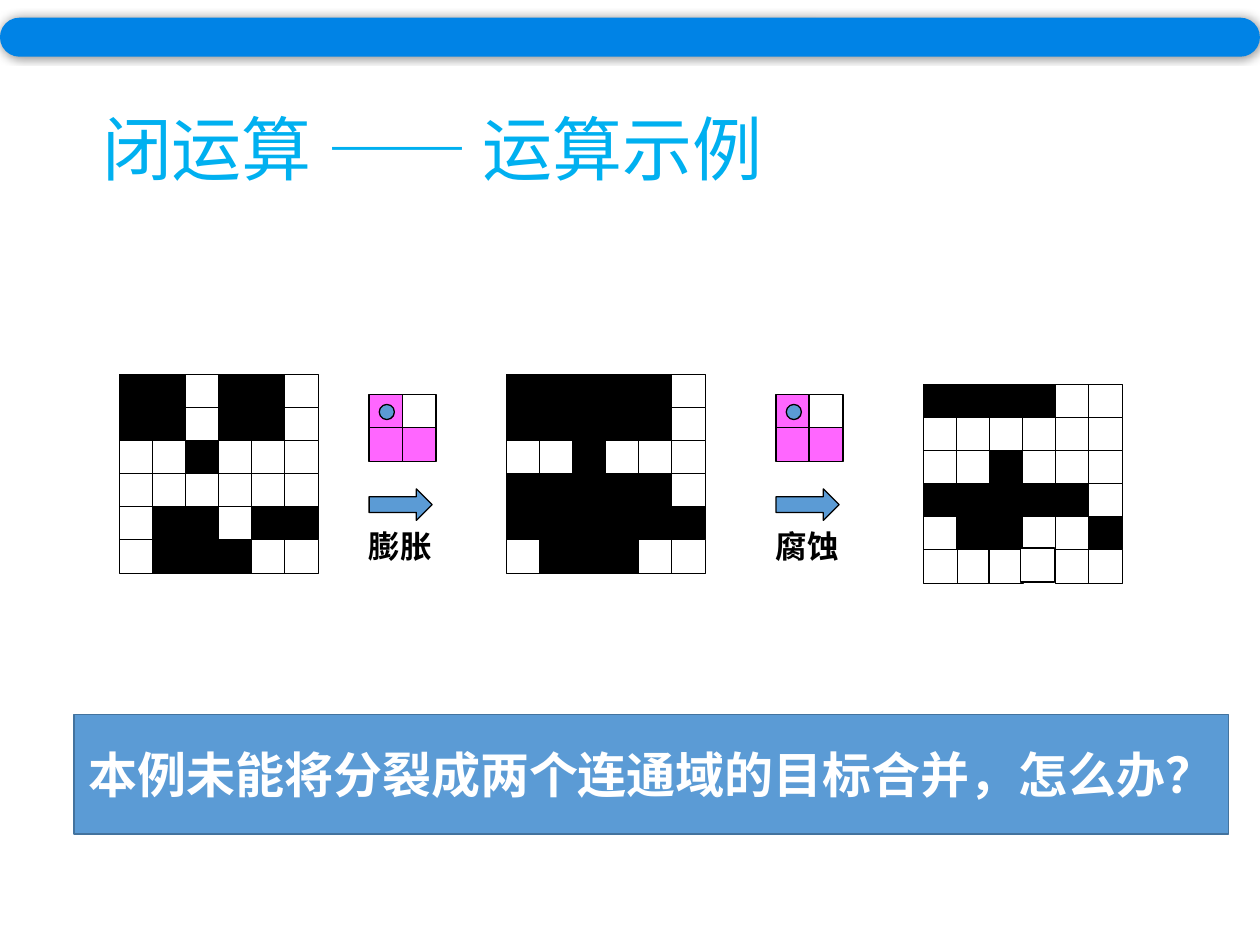
from lxml import etree
from pptx import Presentation
from pptx.dml.color import RGBColor
from pptx.enum import shapes, text
from pptx.oxml import ns
from pptx.util import Inches, Pt

BLACK = RGBColor(0x00, 0x00, 0x00)
WHITE = RGBColor(0xFF, 0xFF, 0xFF)
PINK = RGBColor(0xFF, 0x66, 0xFF)
BLUE = RGBColor(0x5B, 0x9B, 0xD5)
BANNER_EDGE = RGBColor(0x43, 0x73, 0x9E)
BAR_BLUE = RGBColor(0x00, 0x83, 0xE6)
TITLE_BLUE = RGBColor(0x00, 0xB0, 0xF0)
CJK = "Noto Sans CJK SC"
SERIF = "Times New Roman"

TITLE = "闭运算 —— 运算示例"
QUESTION = "本例未能将分裂成两个连通域的目标合并，怎么办？"

# "#" object pixel, "." background, "P" structuring element, "_" no cell
PIXEL_FILLS = {"#": BLACK, ".": WHITE, "P": PINK}
IMAGES = [
    (0.95, 2.97, ["##.##.", "##.##.", "..#...", "......", ".##.##", ".###.."]),
    (4.02, 2.97, ["#####.", "#####.", "..#...", "#####.", "######", ".###.."]),
    (7.33, 3.05, ["####..", "......", "..#...", "#####.", ".##..#", ".___.."]),
]
LOOSE_PIXELS = [(7.6, 4.36), (7.85, 4.36), (8.1, 4.35)]
OPERATIONS = [(2.93, "膨胀"), (6.16, "腐蚀")]
KERNEL = ["P.", "PP"]
KERNEL_TOP = 3.13
CELL, STEP = 0.27, 0.262


def add_box(parent, kind, left, top, width, height, fill, line=BLACK, weight=0.75):
    box = parent.shapes.add_shape(
        kind, Inches(left), Inches(top), Inches(width), Inches(height))
    box.shadow.inherit = False
    box.fill.solid()
    box.fill.fore_color.rgb = fill
    if line is None:
        box.line.fill.background()
    else:
        box.line.color.rgb = line
        box.line.width = Pt(weight)
    return box


def write(box, words, size, color, font=SERIF, bold=False,
          align=text.PP_ALIGN.LEFT, anchor=text.MSO_ANCHOR.TOP, spacing=None):
    frame = box.text_frame
    frame.word_wrap = True
    frame.vertical_anchor = anchor
    para = frame.paragraphs[0]
    para.alignment = align
    para.line_spacing = spacing
    span = para.add_run()
    span.text = words
    span.font.name = font
    span.font.size = Pt(size)
    span.font.bold = bold
    span.font.color.rgb = color
    east_asian = etree.SubElement(span.font._element, ns.qn("a:ea"))
    east_asian.set("typeface", CJK)


def add_pixel(parent, left, top, fill):
    add_box(parent, shapes.MSO_SHAPE.RECTANGLE, left, top, CELL, CELL, fill)


def add_pixels(parent, left, top, rows):
    for r, row in enumerate(rows):
        for c, mark in enumerate(row):
            if mark in PIXEL_FILLS:
                add_pixel(parent, left + c * STEP, top + r * STEP, PIXEL_FILLS[mark])


def add_operation(page, left, name):
    """Arrow, structuring element with its origin, and the operation's name."""
    group = page.shapes.add_group_shape()
    add_box(group, shapes.MSO_SHAPE.RIGHT_ARROW, left, 3.88, 0.5, 0.25, BLUE)
    add_pixels(group, left, KERNEL_TOP, KERNEL)
    add_box(group, shapes.MSO_SHAPE.OVAL, left + 0.08, KERNEL_TOP + 0.08, 0.12, 0.12, BLUE)
    label = group.shapes.add_textbox(
        Inches(left - 0.1), Inches(4.13), Inches(0.83), Inches(0.4))
    write(label, name, 18, BLACK, bold=True)
    label.text_frame.auto_size = text.MSO_AUTO_SIZE.SHAPE_TO_FIT_TEXT


def add_glow_shadow(box):
    effects = box._element.spPr.find(ns.qn("a:effectLst"))
    shadow = etree.SubElement(effects, ns.qn("a:outerShdw"), blurRad=str(Pt(5)),
                              dist="0", dir="0", algn="ctr", rotWithShape="0")
    color = etree.SubElement(shadow, ns.qn("a:srgbClr"), val=str(BLACK))
    etree.SubElement(color, ns.qn("a:alpha"), val="40000")


def main():
    deck = Presentation()
    deck.slide_width, deck.slide_height = Inches(10), Inches(7.5)
    page = deck.slides.add_slide(deck.slide_layouts[5])

    title = page.shapes.title
    title.left, title.top = Inches(0.71), Inches(0.73)
    title.width, title.height = Inches(7.1), Inches(0.96)
    write(title, TITLE, 40, TITLE_BLUE, font=CJK,
          anchor=text.MSO_ANCHOR.MIDDLE, spacing=0.9)

    for left, top, rows in IMAGES:
        add_pixels(page.shapes.add_group_shape(), left, top, rows)
    for left, name in OPERATIONS:
        add_operation(page, left, name)

    bar = add_box(page, shapes.MSO_SHAPE.ROUNDED_RECTANGLE, 0, 0.14, 10, 0.31,
                  BAR_BLUE, line=None)
    bar.adjustments[0] = 0.5
    add_glow_shadow(bar)

    banner = add_box(page, shapes.MSO_SHAPE.RECTANGLE, 0.59, 5.67, 9.16, 0.95,
                     BLUE, line=BANNER_EDGE, weight=1)
    write(banner, QUESTION, 28, WHITE, bold=True,
          align=text.PP_ALIGN.CENTER, anchor=text.MSO_ANCHOR.MIDDLE)

    for left, top in LOOSE_PIXELS:
        add_pixel(page, left, top, WHITE)

    deck.save("out.pptx")


if __name__ == "__main__":
    main()
